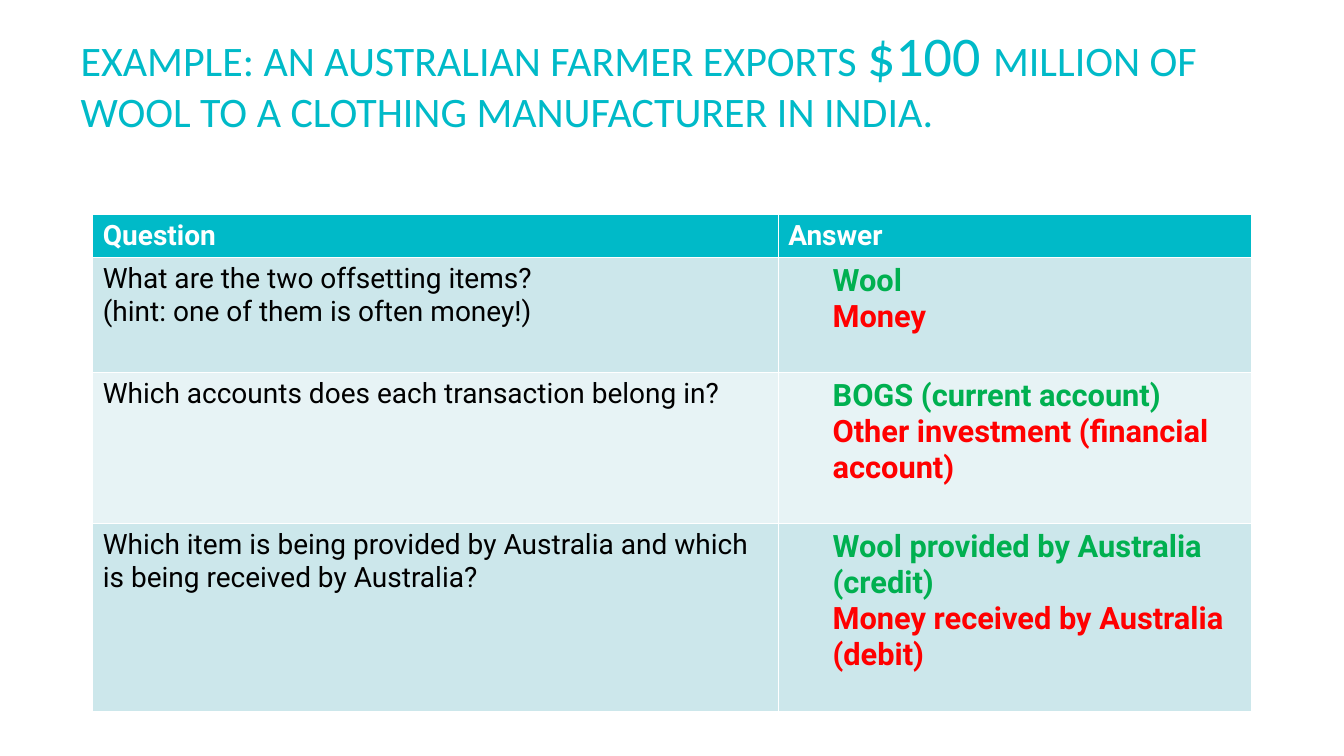
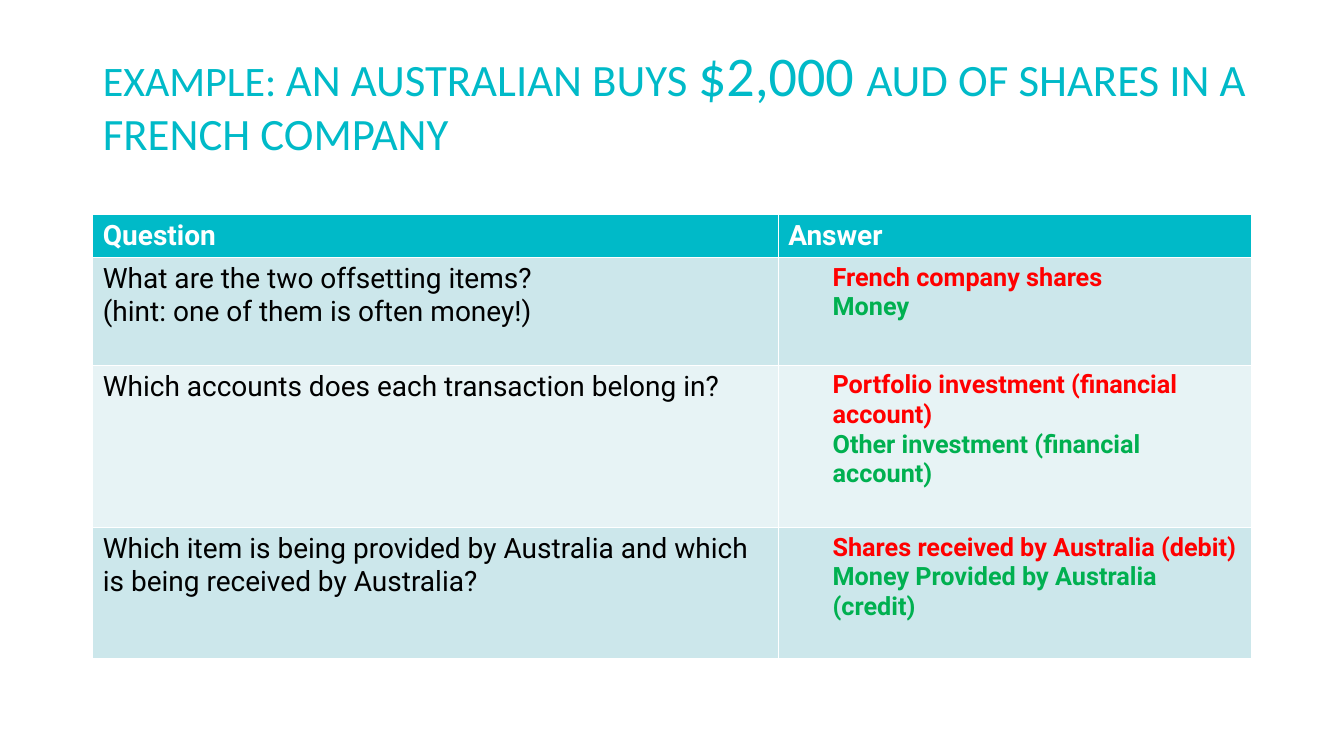
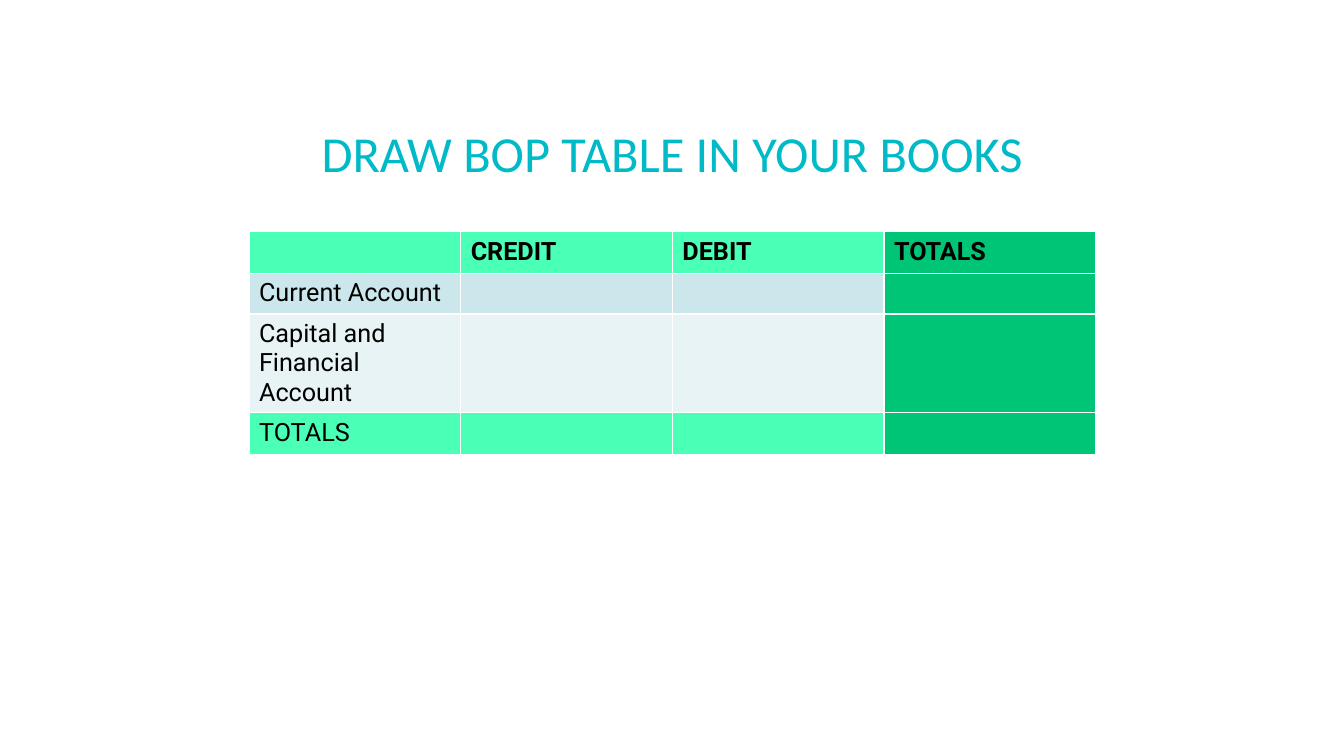
from pptx import Presentation
from pptx import util as u
from pptx.dml.color import RGBColor
from pptx.enum import text

TEAL = RGBColor(0x00, 0xBA, 0xC8)
PALE = RGBColor(0xCC, 0xE7, 0xEB)
MIST = RGBColor(0xE7, 0xF3, 0xF5)
MINT = RGBColor(0x4A, 0xFF, 0xB6)
JADE = RGBColor(0x00, 0xC5, 0x77)
GREEN = RGBColor(0x00, 0xB0, 0x50)
RED = RGBColor(0xFF, 0x00, 0x00)
BLACK = RGBColor(0x00, 0x00, 0x00)
WHITE = RGBColor(0xFF, 0xFF, 0xFF)
HEAD, BODY = "Calibri", "Roboto"
CELL = u.Inches(0.1)
WIDE, HIGH = 133.33, 75
LEFT = 9.2
ASKS = [
    ["What are the two offsetting items?", "(hint: one of them is often money!)"],
    ["Which accounts does each transaction belong in?"],
    ["Which item is being provided by Australia and which is being received by Australia?"],
]


def grid(*cells):
    return [round(n * CELL) for n in cells]


def style(font, face, size, color, bold=False):
    font.name, font.size, font.bold = face, u.Pt(size), bold
    font.color.rgb = color


def add_title(deck, box, foot, runs, align=text.PP_ALIGN.LEFT):
    slide = deck.slides.add_slide(deck.slide_layouts[5])
    title = slide.shapes.title
    title.left, title.top, title.width, title.height = grid(*box)
    frame = title.text_frame
    frame.word_wrap = True
    frame.auto_size = text.MSO_AUTO_SIZE.NONE
    frame.vertical_anchor = text.MSO_ANCHOR.BOTTOM
    frame.margin_bottom = grid(foot)[0]
    para = frame.paragraphs[0]
    para.alignment, para.line_spacing = align, 0.95
    for words, size in runs:
        run = para.add_run()
        run.text = words
        style(run.font, HEAD, size, TEAL)
    return slide


def add_grid(slide, left, top, cols, rows):
    box = grid(left, top, sum(cols), sum(rows))
    table = slide.shapes.add_table(len(rows), len(cols), *box).table
    for col, size in zip(table.columns, grid(*cols)):
        col.width = size
    for row, size in zip(table.rows, grid(*rows)):
        row.height = size
    return table


def fill_cell(cell, fill, lines, size, colors, bold=False, inset=0):
    cell.fill.solid()
    cell.fill.fore_color.rgb = fill
    frame = cell.text_frame
    for n, (line, color) in enumerate(zip(lines, colors)):
        para = frame.add_paragraph() if n else frame.paragraphs[0]
        para.text = line
        if inset:
            para.level = 1
            props = para._p.get_or_add_pPr()
            props.set("marL", str(grid(inset)[0]))
            props.set("indent", "0")
        style(para.font, BODY, size, color, bold)


def add_quiz(slide, rows, size, colors, replies):
    table = add_grid(slide, LEFT, 21.3, [68, 47], rows)
    for n, label in enumerate(["Question", "Answer"]):
        fill_cell(table.cell(0, n), TEAL, [label], 20, [WHITE], True)
    for n, (ask, reply) in enumerate(zip(ASKS, replies), 1):
        fill = PALE if n % 2 else MIST
        fill_cell(table.cell(n, 0), fill, ask, 20, [BLACK] * len(ask))
        fill_cell(table.cell(n, 1), fill, reply, size, colors, True, 4.4)


def add_ledger(slide):
    labels = [
        ["", "CREDIT", "DEBIT", "TOTALS"],
        ["Current Account", "", "", ""],
        ["Capital and Financial Account", "", "", ""],
        ["TOTALS", "", "", ""],
    ]
    table = add_grid(slide, 24.7, 23, [21] * 4, [4.1, 4, 9.8, 4.1])
    for r, (row, fill) in enumerate(zip(labels, [MINT, PALE, MIST, MINT])):
        for c, label in enumerate(row):
            shade = JADE if c == 3 else fill
            lines = [label] if label else []
            fill_cell(table.cell(r, c), shade, lines, 18, [BLACK], r == 0)


def main():
    deck = Presentation()
    deck.slide_width, deck.slide_height = grid(WIDE, HIGH)

    wool = add_title(deck, (7, 1, 121.5, 14.5), 1.9, [
        ("EXAMPLE: AN AUSTRALIAN FARMER EXPORTS ", 30),
        ("$100 ", 40),
        ("MILLION OF WOOL TO A CLOTHING MANUFACTURER IN INDIA.", 30),
    ])
    add_quiz(wool, [4.2, 11.4, 15, 18.6], 22, [GREEN, RED], [
        ["Wool", "Money"],
        ["BOGS (current account)", "Other investment (financial account)"],
        ["Wool provided by Australia (credit)", "Money received by Australia (debit)"],
    ])

    shares = add_title(deck, (LEFT, 4, 121.5, 14.5), 2.6, [
        ("EXAMPLE: ", 30),
        ("AN AUSTRALIAN BUYS ", 32),
        ("$2,000 ", 40),
        ("AUD OF SHARES IN A FRENCH COMPANY", 32),
    ])
    add_quiz(shares, [4.2, 10.7, 16.1, 13], 18, [RED, GREEN], [
        ["French company shares", "Money"],
        ["Portfolio investment (financial account)", "Other investment (financial account)"],
        ["Shares received by Australia (debit)", "Money Provided by Australia (credit)"],
    ])

    books = add_title(deck, (LEFT, 4, 115, 14.5), 0.2,
                      [("DRAW BOP TABLE IN YOUR BOOKS", 36)],
                      text.PP_ALIGN.CENTER)
    add_ledger(books)
    deck.save("out.pptx")


if __name__ == "__main__":
    main()
